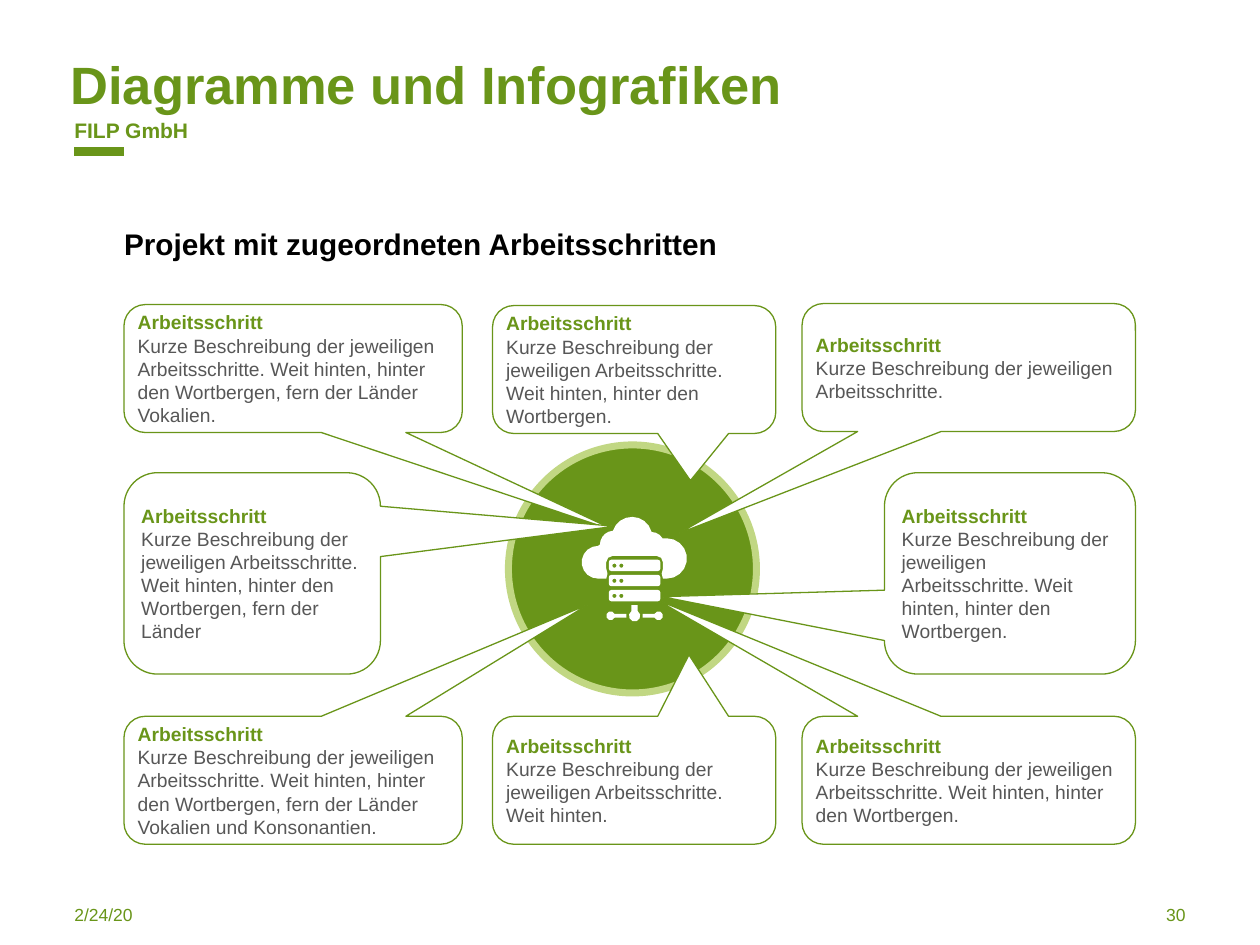
import math
from dataclasses import dataclass

import pptx
import pptx.dml.color
import pptx.enum.shapes
import pptx.enum.text
import pptx.util
from lxml import etree

Cm, Pt = pptx.util.Cm, pptx.util.Pt
RGB = pptx.dml.color.RGBColor.from_string
Anchor = pptx.enum.text.MSO_ANCHOR
Align = pptx.enum.text.PP_ALIGN
Shape = pptx.enum.shapes.MSO_SHAPE


@dataclass(frozen=True)
class Theme:
    font: str = "Arial"
    green: str = "699519"
    light_green: str = "C1D783"
    grey: str = "575757"
    black: str = "000000"
    white: str = "FFFFFF"
    title: float = 30
    subtitle: float = 17
    header: float = 12
    step: float = 11
    footer: float = 10


THEME = Theme()
HEADING = "Arbeitsschritt"
INTRO = "Kurze Beschreibung der jeweiligen Arbeitsschritte."

# Steps: left, top, width, height; callout tip x, y (all cm); rest of the text
STEPS = [
    ((2.5, 6.14, 6.82, 2.58), (12.48, 10.73),
     " Weit hinten, hinter den Wortbergen, fern der Länder Vokalien."),
    ((2.5, 9.53, 5.17, 4.06), (12.4, 10.61),
     " Weit hinten, hinter den Wortbergen, fern der Länder"),
    ((2.5, 14.44, 6.82, 2.58), (11.87, 12.18),
     " Weit hinten, hinter den Wortbergen, fern der Länder Vokalien und Konsonantien."),
    ((9.93, 14.44, 5.71, 2.58), (13.89, 13.2), " Weit hinten."),
    ((9.93, 6.16, 5.71, 2.58), (13.92, 9.69), " Weit hinten, hinter den Wortbergen."),
    ((16.17, 6.12, 6.72, 2.58), (13.67, 10.76), ""),
    ((17.83, 9.53, 5.06, 4.06), (13.34, 12.03), " Weit hinten, hinter den Wortbergen."),
    ((16.17, 14.44, 6.72, 2.58), (13.24, 12.09), " Weit hinten, hinter den Wortbergen."),
]


def apply(target, values):
    for name, value in values.items():
        setattr(target, name, value)


def place(shape, left, top, width, height):
    apply(shape, {"left": Cm(left), "top": Cm(top), "width": Cm(width), "height": Cm(height)})


def write(shape, lines, anchor=Anchor.TOP, align=Align.LEFT, inset=0):
    """Fill a shape with (text, size, colour, bold) lines."""
    frame = shape.text_frame
    margins = {f"margin_{side}": Cm(inset) for side in ("left", "top", "right", "bottom")}
    apply(frame, {"word_wrap": True, "auto_size": pptx.enum.text.MSO_AUTO_SIZE.NONE,
                  "vertical_anchor": anchor, **margins})
    for index, (text, size, colour, bold) in enumerate(lines):
        para = frame.add_paragraph() if index else frame.paragraphs[0]
        apply(para, {"alignment": align, "space_before": Pt(0)})
        span = para.add_run()
        span.text = text
        apply(span.font, {"name": THEME.font, "size": Pt(size), "bold": bold})
        span.font.color.rgb = RGB(colour)


def add_label(page, area, line, **layout):
    box = page.shapes.add_textbox(*map(Cm, area))
    write(box, [line], **layout)


def paint(shape, fill):
    shape.shadow.inherit = False
    shape.fill.solid()
    shape.fill.fore_color.rgb = RGB(fill)


def add_figure(page, kind, area, fill, line, width):
    figure = page.shapes.add_shape(kind, *map(Cm, area))
    paint(figure, fill)
    figure.line.color.rgb = RGB(line)
    figure.line.width = Pt(width)
    return figure


def add_rule(page, left, right, y, width):
    rule = page.shapes.add_connector(
        pptx.enum.shapes.MSO_CONNECTOR.STRAIGHT, Cm(left), Cm(y), Cm(right), Cm(y))
    rule.line.color.rgb = RGB(THEME.green)
    rule.line.width = Pt(width)
    properties = rule.line._get_or_add_ln().getparent()
    namespace = etree.QName(properties.find("{*}prstGeom")).namespace
    etree.SubElement(properties, f"{{{namespace}}}effectLst")


def add_step(page, area, tip, detail):
    callout = add_figure(page, Shape.ROUNDED_RECTANGULAR_CALLOUT, area,
                         THEME.white, THEME.green, 0.75)
    # The tip is measured from the centre as a share of the size
    for axis in (0, 1):
        callout.adjustments[axis] = (tip[axis] - area[axis]) / area[axis + 2] - 0.5
    write(callout, [(HEADING, THEME.step, THEME.green, True),
                    (INTRO + detail, THEME.step, THEME.grey, False)],
          anchor=Anchor.MIDDLE, inset=0.15)


def arc(x, y, radius, start, end):
    """Points along an arc, angles in degrees, clockwise when rising."""
    count = math.ceil(abs(end - start) / (20 if radius > 5 else 45))
    angles = [math.radians(start + (end - start) * i / count) for i in range(count + 1)]
    return [(x + radius * math.cos(a), y + radius * math.sin(a)) for a in angles]


def server(top):
    """One rack unit with two indicator holes."""
    left, right, bottom, radius = 21, 62, top + 9, 2
    body = (arc(left + radius, top + radius, radius, 180, 270)
            + arc(right - radius, top + radius, radius, 270, 360)
            + arc(right - radius, bottom - radius, radius, 0, 90)
            + arc(left + radius, bottom - radius, radius, 90, 180))
    return [body] + [arc(x, top + 4.7, 1.7, 315, 0) for x in (25.5, 31)]


def icon_contours():
    cloud = (arc(12.5, 36, 13, 90, 270) + arc(25, 22, 11, 180, 265)
             + arc(39.5, 16, 16, 198, 344) + arc(55, 22, 10, 270, 330)
             + arc(67, 33, 16, 270, 450)
             + [(64, 49), (63, 45), (64, 41)]
             + arc(59, 36, 5, 0, -90) + arc(24, 36, 5, 270, 180)
             + [(19, 41), (20, 45), (19, 49)])
    left_node = arc(22.5, 78.5, 3.5, 25, 335) + [(35, 77), (35, 80)]
    right_node = arc(60.5, 78.5, 3.5, 205, 515) + [(48, 80), (48, 77)]
    hub = [(39, 70), (44, 70)] + arc(41.5, 78.5, 4.5, -56, 236)
    racks = [contour for top in (34, 46, 58) for contour in server(top)]
    return [cloud, *racks, left_node, right_node, hub]


def add_icon(page, left, top):
    """Cloud server icon; 100 grid units make 2.54 cm."""
    contours = [[(x * 100, y * 100) for x, y in points] for points in icon_contours()]
    builder = page.shapes.build_freeform(*contours[0][0], scale=Cm(2.54) / 100 / 100)
    for index, points in enumerate(contours):
        if index:
            builder.move_to(*points[0])
        builder.add_line_segments(points[1:], close=True)
    icon = builder.convert_to_shape(Cm(left), Cm(top))
    paint(icon, THEME.white)
    icon.line.fill.background()


def main():
    deck = pptx.Presentation()
    apply(deck, {"slide_width": Cm(25.4), "slide_height": Cm(19.05)})
    page = deck.slides.add_slide(deck.slide_layouts[0])

    # Title and subtitle
    title, subtitle = page.placeholders
    place(title, 1.42, 1.05, 18.67, 1.27)
    write(title, [("Diagramme und Infografiken", THEME.title, THEME.green, True)])
    place(subtitle, 2.5, 4.55, 20.4, 0.74)
    write(subtitle, [("Projekt mit zugeordneten Arbeitsschritten",
                      THEME.subtitle, THEME.black, True)])

    # Header and footer
    add_label(page, (1.5, 2.36, 11.2, 0.51), ("FILP GmbH", THEME.header, THEME.green, True),
              anchor=Anchor.BOTTOM)
    add_rule(page, 1.5, 2.5, 3.05, 5)
    add_label(page, (1.5, 18.22, 5.69, 0.64), ("2/24/20", THEME.footer, THEME.green, False))
    add_label(page, (23.42, 18.22, 0.48, 0.64), ("30", THEME.footer, THEME.green, False),
              align=Align.RIGHT)

    # Hub, steps and icon
    add_figure(page, Shape.OVAL, (10.25, 8.97, 5, 5), THEME.green, THEME.light_green, 4)
    for step in STEPS:
        add_step(page, *step)
    add_icon(page, 11.74, 10.42)

    deck.save("out.pptx")


if __name__ == "__main__":
    main()
